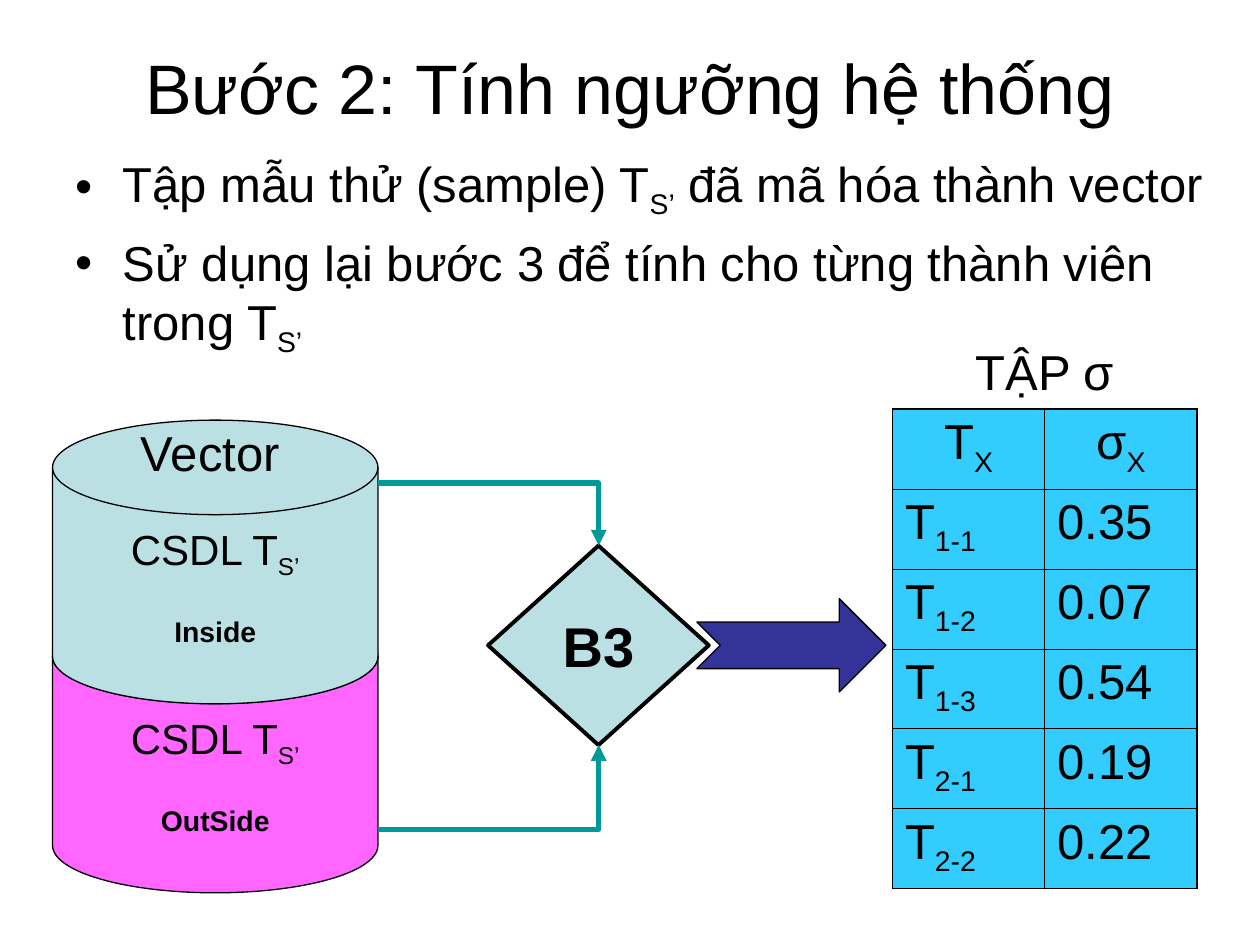
import pptx
import pptx.dml.color
import pptx.enum.shapes
import pptx.enum.text
import pptx.oxml
import pptx.oxml.ns
import pptx.util
from pptx.util import Cm

BLACK = pptx.dml.color.RGBColor(0x00, 0x00, 0x00)
PALE_BLUE = pptx.dml.color.RGBColor(0xBB, 0xE0, 0xE3)
PINK = pptx.dml.color.RGBColor(0xFF, 0x66, 0xFF)
SKY = pptx.dml.color.RGBColor(0x33, 0xCC, 0xFF)
INDIGO = pptx.dml.color.RGBColor(0x33, 0x33, 0x99)
TEAL = pptx.dml.color.RGBColor(0x00, 0x99, 0x99)

SHAPES = pptx.enum.shapes.MSO_SHAPE
CENTER = pptx.enum.text.PP_ALIGN.CENTER
LEFT = pptx.enum.text.PP_ALIGN.LEFT
MIDDLE = pptx.enum.text.MSO_ANCHOR.MIDDLE
TOP = pptx.enum.text.MSO_ANCHOR.TOP

THRESHOLDS = [
    ("T|X", "σ|X"),
    ("T|1-1", "0.35"),
    ("T|1-2", "0.07"),
    ("T|1-3", "0.54"),
    ("T|2-1", "0.19"),
    ("T|2-2", "0.22"),
]
COLUMN_WIDTH = 3.07
ROW_HEIGHT = 1.61


def set_attributes(target, values):
    for name, value in values.items():
        setattr(target, name, value)


def place(shape, left, top, width, height):
    set_attributes(shape, {"left": Cm(left), "top": Cm(top),
                           "width": Cm(width), "height": Cm(height)})


def write_paragraph(paragraph, text, size, bold=False, **layout):
    """Write text in which every second part between bars is subscript."""
    set_attributes(paragraph, layout)
    for index, part in enumerate(text.split("|")):
        if not part:
            continue
        run = paragraph.add_run()
        run.text = part
        set_attributes(run.font, {"name": "Arial", "size": pptx.util.Pt(size),
                                  "bold": bold})
        run.font.color.rgb = BLACK
        if index % 2:
            run._r.get_or_add_rPr().set("baseline", "-25000")


def write_lines(frame, lines, anchor, wrap, **layout):
    """Fill a text frame with (text, size, bold) lines."""
    set_attributes(frame, {"vertical_anchor": anchor, "word_wrap": wrap,
                           "auto_size": pptx.enum.text.MSO_AUTO_SIZE.NONE})
    for index, (text, size, bold) in enumerate(lines):
        paragraph = frame.add_paragraph() if index else frame.paragraphs[0]
        write_paragraph(paragraph, text, size, bold, **layout)


def add_block(slide, kind, box, fill, lines=(), line_width=0.75):
    shape = slide.shapes.add_shape(kind, *map(Cm, box))
    shape.shadow.inherit = False
    shape.fill.solid()
    shape.fill.fore_color.rgb = fill
    shape.line.color.rgb = BLACK
    shape.line.width = pptx.util.Pt(line_width)
    write_lines(shape.text_frame, lines, MIDDLE, False, alignment=CENTER)


def add_label(slide, text, box):
    label = slide.shapes.add_textbox(*map(Cm, box))
    write_lines(label.text_frame, [(text, 28, False)], TOP, True, alignment=CENTER)


def add_elbow_arrow(slide, start, end):
    """Draw an arrow that runs across from start, then up or down to end."""
    corner = (end[0], start[1])
    builder = slide.shapes.build_freeform(Cm(start[0]), Cm(start[1]))
    builder.add_line_segments([(Cm(x), Cm(y)) for x, y in (corner, end)], close=False)
    arrow = builder.convert_to_shape()
    arrow.shadow.inherit = False
    arrow.fill.background()
    arrow.line.color.rgb = TEAL
    arrow.line.width = pptx.util.Pt(3)
    arrow.line._get_or_add_ln().append(pptx.oxml.parse_xml(
        f'<a:tailEnd {pptx.oxml.ns.nsdecls("a")} type="triangle"/>'))


def set_cell_borders(cell, widths):
    properties = cell._tc.get_or_add_tcPr()
    for index, (side, width) in enumerate(widths.items()):
        properties.insert(index, pptx.oxml.parse_xml(
            f'<a:{side} {pptx.oxml.ns.nsdecls("a")} w="{pptx.util.Pt(width)}">'
            f'<a:solidFill><a:srgbClr val="{BLACK}"/></a:solidFill></a:{side}>'))


def add_threshold_table(slide, left, top):
    row_count, column_count = len(THRESHOLDS), len(THRESHOLDS[0])
    table = slide.shapes.add_table(
        row_count, column_count, Cm(left), Cm(top),
        Cm(COLUMN_WIDTH * column_count), Cm(ROW_HEIGHT * row_count)).table
    for row_index, texts in enumerate(THRESHOLDS):
        table.rows[row_index].height = Cm(ROW_HEIGHT)
        for column_index, text in enumerate(texts):
            cell = table.cell(row_index, column_index)
            cell.fill.solid()
            cell.fill.fore_color.rgb = SKY
            write_paragraph(cell.text_frame.paragraphs[0], text, 28,
                            alignment=LEFT if row_index else CENTER,
                            space_before=pptx.util.Pt(7))
            outer_sides = {
                "lnL": column_index == 0,
                "lnR": column_index == column_count - 1,
                "lnT": row_index == 0,
                "lnB": row_index == row_count - 1,
            }
            set_cell_borders(cell, {side: 1.08 if outer else 0.45
                                    for side, outer in outer_sides.items()})


def main():
    presentation = pptx.Presentation()
    set_attributes(presentation, {"slide_width": Cm(25.4), "slide_height": Cm(19.05)})
    slide = presentation.slides.add_slide(presentation.slide_layouts[1])

    title, body = slide.placeholders
    place(title, 1.27, 0.76, 22.86, 1.98)
    write_lines(title.text_frame, [("Bước 2: Tính ngưỡng hệ thống", 40, False)],
                MIDDLE, True, alignment=CENTER)
    place(body, 1.27, 2.97, 23.5, 5.28)
    write_lines(body.text_frame, [
        ("Tập mẫu thử (sample) T|S’| đã mã hóa thành vector", 28, False),
        ("Sử dụng lại bước 3 để tính cho từng thành viên trong T|S’", 28, False),
    ], TOP, True, space_before=pptx.util.Pt(7))

    add_block(slide, SHAPES.NOTCHED_RIGHT_ARROW, (14.05, 12.07, 3.81, 1.88), INDIGO)
    for top, fill, name in ((12.28, PINK, "OutSide"), (8.47, PALE_BLUE, "Inside")):
        add_block(slide, SHAPES.FLOWCHART_MAGNETIC_DISK, (1.06, top, 6.56, 5.72), fill,
                  [("CSDL T|S’", 24, False), (f"|{name}", 28, True)])
    add_label(slide, "Vector", (2.23, 8.39, 4.02, 1.45))

    add_threshold_table(slide, 17.99, 8.25)
    add_label(slide, "TẬP σ", (17.99, 6.77, 6.14, 1.45))

    add_block(slide, SHAPES.FLOWCHART_DECISION, (9.84, 11, 4.45, 4.02), PALE_BLUE,
              [("B3", 32, True)], line_width=2.25)
    add_elbow_arrow(slide, (7.62, 16.72), (12.07, 15.02))
    add_elbow_arrow(slide, (7.62, 9.74), (12.07, 11))

    presentation.save("out.pptx")


if __name__ == "__main__":
    main()
